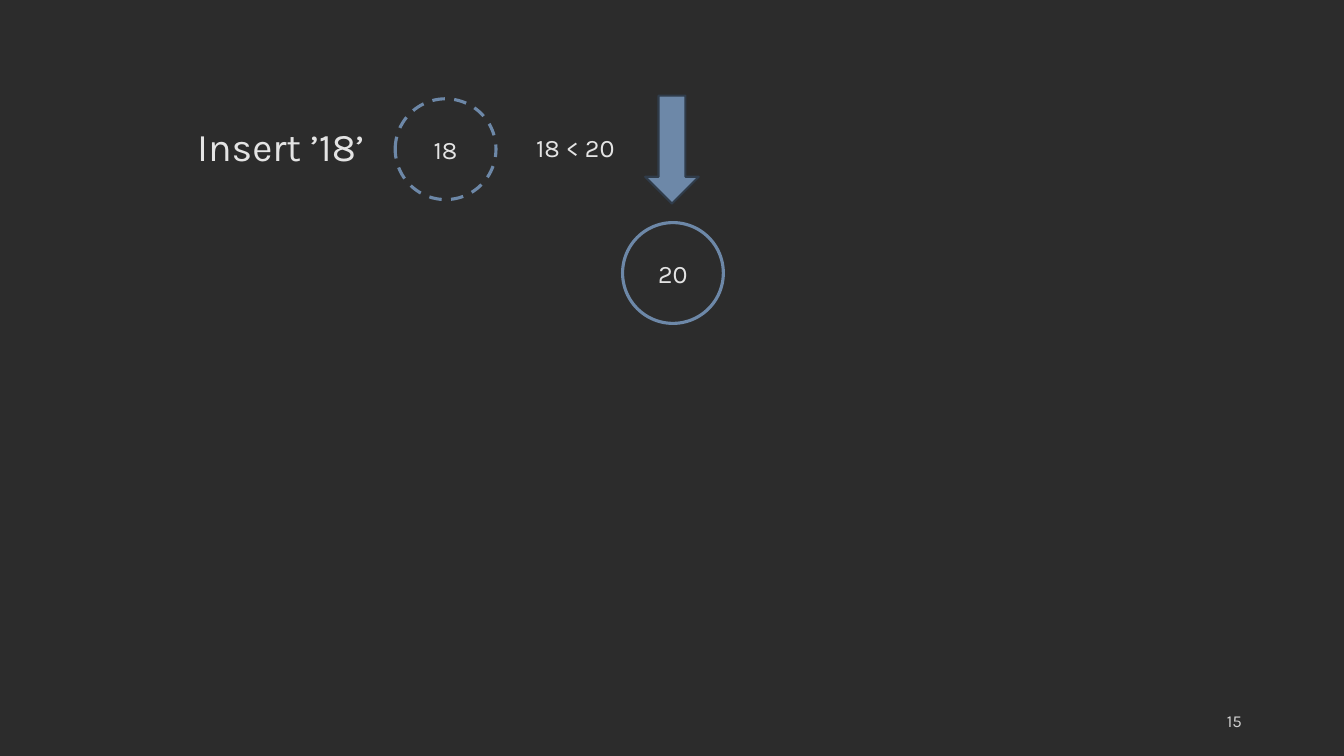
from dataclasses import dataclass

from pptx import Presentation
from pptx.dml.color import RGBColor
from pptx.enum.dml import MSO_LINE
from pptx.enum.shapes import MSO_SHAPE
from pptx.enum.text import MSO_ANCHOR, MSO_AUTO_SIZE, PP_ALIGN
from pptx.util import Cm, Pt


@dataclass(frozen=True)
class Theme:
    """Colours, font and type sizes of the slide."""
    background: RGBColor = RGBColor.from_string("2C2C2C")
    text: RGBColor = RGBColor.from_string("E4E4E4")
    muted: RGBColor = RGBColor.from_string("D1D1D1")
    accent: RGBColor = RGBColor.from_string("6D88A8")
    edge: RGBColor = RGBColor.from_string("303C4A")
    font: str = "Karla"
    heading: int = 28
    body: int = 18
    small: int = 12


class TreeSlide:
    """Draws the elements of a tree insertion step on one slide."""

    def __init__(self, deck, theme):
        self.theme = theme
        self.page = deck.slides.add_slide(deck.slide_layouts[6])
        fill = self.page.background.fill
        fill.solid()
        fill.fore_color.rgb = theme.background

    def add_line_of_text(self, frame, text, size, color, align):
        """Put one line of text into a frame."""
        para = frame.paragraphs[0]
        para.alignment = align
        span = para.add_run()
        span.text = text
        span.font.name = self.theme.font
        span.font.size = Pt(size)
        span.font.color.rgb = color

    def label(self, text, left, top, width, height, size):
        """Add an unwrapped label that grows with its text."""
        box = self.page.shapes.add_textbox(Cm(left), Cm(top), Cm(width), Cm(height))
        frame = box.text_frame
        frame.word_wrap = False
        frame.auto_size = MSO_AUTO_SIZE.SHAPE_TO_FIT_TEXT
        self.add_line_of_text(frame, text, size, self.theme.text, PP_ALIGN.LEFT)

    def page_number(self, text, left, top, width, height):
        """Add the right-aligned page number."""
        box = self.page.shapes.add_textbox(Cm(left), Cm(top), Cm(width), Cm(height))
        frame = box.text_frame
        frame.word_wrap = True
        frame.vertical_anchor = MSO_ANCHOR.MIDDLE
        self.add_line_of_text(
            frame, text, self.theme.small, self.theme.muted, PP_ALIGN.RIGHT)

    def node(self, text, left, top, diameter=2.54, dash=None):
        """Add an outlined tree node with its key."""
        circle = self.page.shapes.add_shape(
            MSO_SHAPE.OVAL, Cm(left), Cm(top), Cm(diameter), Cm(diameter))
        circle.shadow.inherit = False
        circle.fill.background()
        circle.line.color.rgb = self.theme.accent
        circle.line.width = Pt(2.25)
        if dash:
            circle.line.dash_style = dash
        frame = circle.text_frame
        frame.margin_left = frame.margin_right = 0
        frame.margin_top = frame.margin_bottom = 0
        frame.vertical_anchor = MSO_ANCHOR.MIDDLE
        self.add_line_of_text(
            frame, text, self.theme.body, self.theme.text, PP_ALIGN.CENTER)

    def down_arrow(self, left, top, width, height):
        """Add the filled arrow that marks the visited node."""
        arrow = self.page.shapes.add_shape(
            MSO_SHAPE.DOWN_ARROW, Cm(left), Cm(top), Cm(width), Cm(height))
        arrow.shadow.inherit = False
        arrow.fill.solid()
        arrow.fill.fore_color.rgb = self.theme.accent
        arrow.line.color.rgb = self.theme.edge
        arrow.line.width = Pt(1.5)


def main():
    """Build and save the slide."""
    deck = Presentation()
    deck.slide_width, deck.slide_height = Cm(33.87), Cm(19.05)
    theme = Theme()
    slide = TreeSlide(deck, theme)
    slide.page_number("15", 23.93, 17.65, 7.62, 1.02)
    slide.node("20", 15.69, 5.61)
    slide.down_arrow(16.26, 2.41, 1.35, 2.72)
    slide.label("Insert ’18’", 4.72, 2.97, 4.8, 1.45, theme.heading)
    slide.node("18", 9.96, 2.49, dash=MSO_LINE.DASH)
    slide.label("18 < 20", 13.26, 3.2, 2.49, 1.02, theme.body)
    deck.save("out.pptx")


if __name__ == "__main__":
    main()
